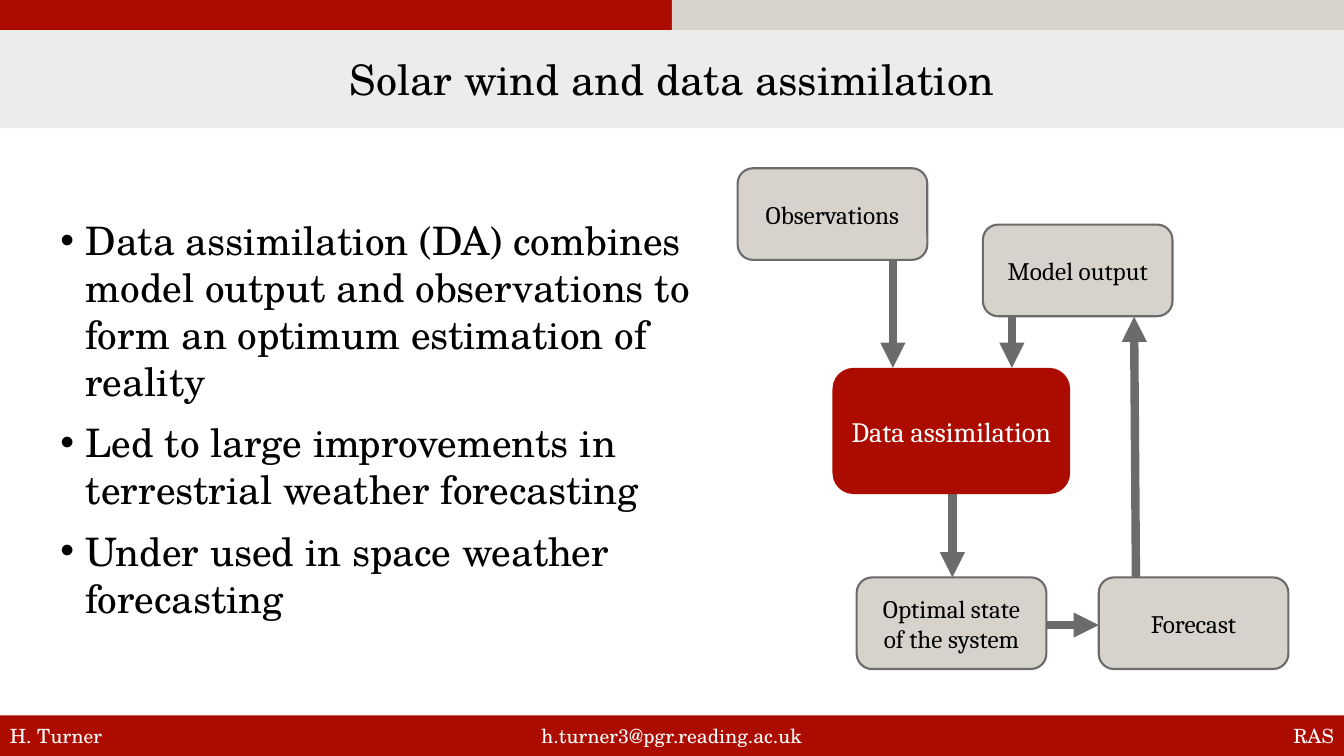
from dataclasses import dataclass
from lxml.etree import SubElement
from pptx import Presentation
from pptx.dml.color import RGBColor
from pptx.enum.shapes import MSO_CONNECTOR, MSO_SHAPE
from pptx.enum.text import MSO_ANCHOR, PP_ALIGN
from pptx.oxml.ns import qn
from pptx.util import Cm, Pt


@dataclass(frozen=True)
class Theme:
    red: str = "AC0C00"
    stone: str = "D7D2CB"
    pale: str = "EEECEA"
    gray: str = "6B6B6B"
    black: str = "000000"
    white: str = "FFFFFF"
    serif: str = "TeX Gyre Schola"
    label: str = "Cambria"
    title: int = 30
    body: int = 28
    core: int = 20
    node: int = 18
    foot: int = 14
    edge: float = 1.5
    arrow: int = 6


def apply(target, **form):
    for key, value in form.items():
        setattr(target, key, value)


class Deck:
    def __init__(self, theme, width, height):
        self.theme = theme
        self.file = Presentation()
        apply(self.file, slide_width=Cm(width), slide_height=Cm(height))
        self.slide = self.file.slides.add_slide(self.file.slide_layouts[6])

    def label(self, para, text, size, color, face, align=PP_ALIGN.LEFT):
        apply(para, text=text, alignment=align)
        apply(para.font, size=Pt(size), name=face)
        para.font.color.rgb = RGBColor.from_string(color)

    def box(self, area, fill, kind=MSO_SHAPE.RECTANGLE, edge=None):
        shape = self.slide.shapes.add_shape(kind, *map(Cm, area))
        shape.shadow.inherit = False
        shape.fill.solid()
        shape.fill.fore_color.rgb = RGBColor.from_string(fill)
        if edge:
            shape.line.color.rgb = RGBColor.from_string(edge)
            shape.line.width = Pt(self.theme.edge)
        else:
            shape.line.fill.background()
        apply(shape.text_frame, word_wrap=True, vertical_anchor=MSO_ANCHOR.MIDDLE)
        return shape.text_frame.paragraphs[0]

    def band(self, area, fill, text, size, color, align):
        self.label(self.box(area, fill), text, size, color, self.theme.serif, align)

    def node(self, area, text, fill, size, color, edge=None):
        para = self.box(area, fill, MSO_SHAPE.ROUNDED_RECTANGLE, edge)
        self.label(para, text, size, color, self.theme.label, PP_ALIGN.CENTER)

    def points(self, area, items, gap):
        frame = self.slide.shapes.add_textbox(*map(Cm, area)).text_frame
        frame.word_wrap = True
        for i, item in enumerate(items):
            para = frame.add_paragraph() if i else frame.paragraphs[0]
            props = para._p.get_or_add_pPr()
            props.set("marL", str(Cm(0.64)))
            props.set("indent", str(-Cm(0.64)))
            SubElement(props, qn("a:buFont"), typeface="Arial")
            SubElement(props, qn("a:buChar"), char="•")
            self.label(para, item, self.theme.body, self.theme.black, self.theme.serif)
            para.space_before = Pt(gap if i else 0)

    def arrow(self, ends):
        link = self.slide.shapes.add_connector(MSO_CONNECTOR.STRAIGHT, *map(Cm, ends))
        link.line.color.rgb = RGBColor.from_string(self.theme.gray)
        link.line.width = Pt(self.theme.arrow)
        props = link._element.spPr
        SubElement(props.find(qn("a:ln")), qn("a:tailEnd"), type="triangle")
        SubElement(props, qn("a:effectLst"))


def main():
    theme = Theme()
    wide, high = 33.87, 19.05
    deck = Deck(theme, wide, high)

    half = wide / 2
    for i, fill in enumerate((theme.red, theme.stone)):
        deck.box((i * half, 0, half, 0.76), fill)
    deck.band((0, 0.76, wide, 2.47), theme.pale, "Solar wind and data assimilation",
              theme.title, theme.black, PP_ALIGN.CENTER)

    third = wide / 3
    feet = (("H. Turner", PP_ALIGN.LEFT),
            ("h.turner3@pgr.reading.ac.uk", PP_ALIGN.CENTER),
            ("RAS", PP_ALIGN.RIGHT))
    for i, (text, align) in enumerate(feet):
        deck.band((i * third, 18.03, third, 1.02), theme.red, text,
                  theme.foot, theme.white, align)

    deck.points((1.27, 5.33, 16.38, 10.24), (
        "Data assimilation (DA) combines model output and observations "
        "to form an optimum estimation of reality",
        "Led to large improvements in terrestrial weather forecasting",
        "Under used in space weather forecasting"), 10)

    for ends in ((22.5, 6.17, 22.5, 9.27), (25.5, 7.92, 25.5, 9.27),
                 (24, 11.94, 24, 14.55), (26.37, 15.75, 27.69, 15.75),
                 (28.63, 15.01, 28.58, 7.98)):
        deck.arrow(ends)

    for left, top, text in ((18.59, 4.24, "Observations"),
                            (24.77, 5.66, "Model output"),
                            (21.59, 14.55, "Optimal state of the system"),
                            (27.69, 14.55, "Forecast")):
        deck.node((left, top, 4.78, 2.31), text, theme.stone, theme.node,
                  theme.black, theme.gray)
    deck.node((20.98, 9.27, 5.99, 3.18), "Data assimilation", theme.red,
              theme.core, theme.white)

    deck.file.save("out.pptx")


if __name__ == "__main__":
    main()
